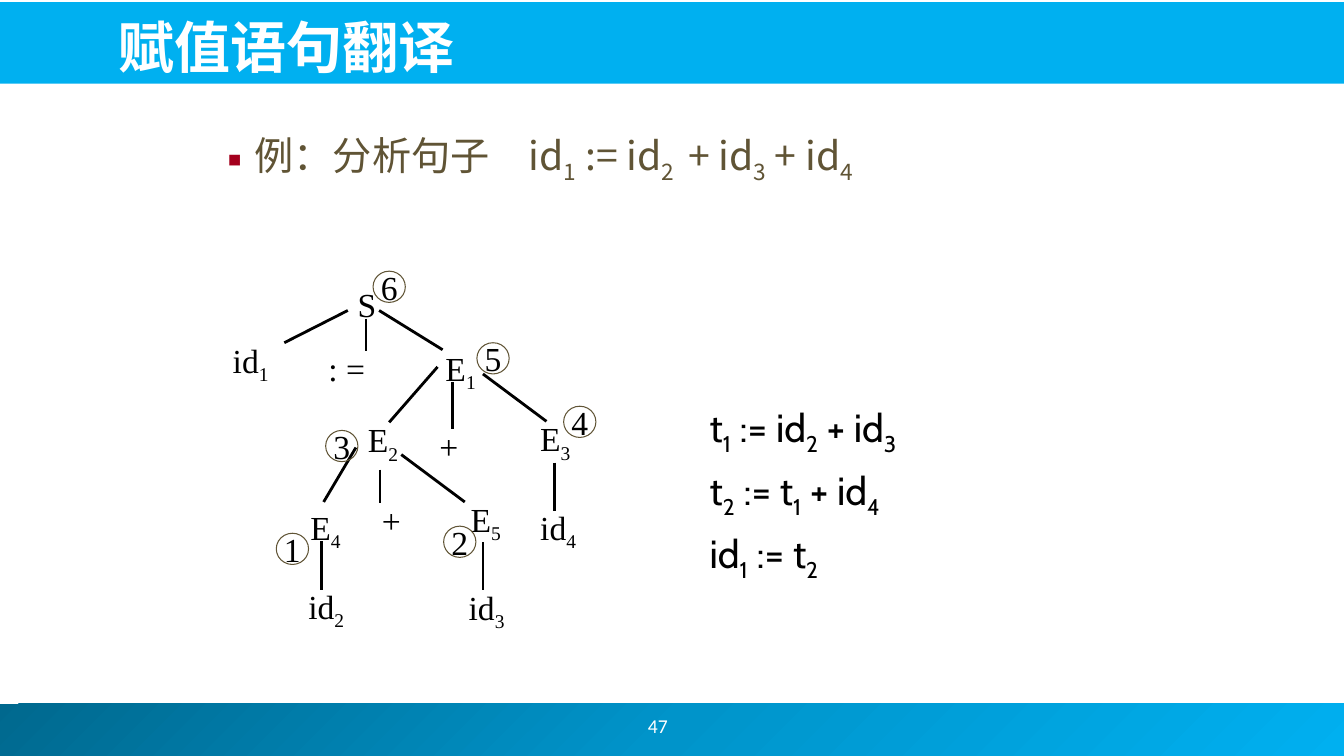
from copy import deepcopy

from lxml import etree
from pptx import Presentation
from pptx import util as u
from pptx.dml.color import RGBColor
from pptx.enum import shapes, text
from pptx.oxml import ns

WIDE, HIGH = 13.33, 7.5
SKY = RGBColor(0x00, 0xB0, 0xF0)
MID = RGBColor(0x00, 0x94, 0xCA)
DEEP = RGBColor(0x00, 0x68, 0x8E)
WHITE = RGBColor(0xFF, 0xFF, 0xFF)
BLACK = RGBColor(0, 0, 0)
BROWN = RGBColor(0x60, 0x54, 0x35)
STEP = 0.1

HEAD = dict(size=u.Pt(40), name="Noto Sans CJK JP", bold=True)
LEAD = dict(size=u.Pt(28), name="Noto Sans CJK JP")
NODE = dict(size=u.Pt(24), name="Times New Roman")
CODE = dict(size=u.Pt(28), name="Cabin")
PAGE = dict(size=u.Pt(14), name="Calibri")

NODES = [
    ("S", 12.5, 1.7, 3.3), ("E_1_", 21.2, 8, 5.5), ("id_1_", 0.1, 7.2, 7.1),
    (": =", 9.6, 8, 8.6), ("E_3_", 30.6, 15, 7.3), ("E_2_", 13.5, 15.1, 5.5),
    ("+", 20.6, 15.8, 4.1), ("E_5_", 23.7, 23, 7.3), ("+", 14.9, 23.1, 4.7),
    ("E_4_", 7.8, 23.8, 7.3), ("id_4_", 30.6, 23.8, 9.7),
    ("id_2_", 7.6, 31.6, 9.7), ("id_3_", 23.5, 31.7, 9.7),
]
EDGES = [
    (12.5, 4.8, 6.2, 8), (15.6, 4.8, 21.9, 8.7), (14.3, 5.6, 14.3, 8.8),
    (22.9, 11.9, 22.9, 16.6), (25.9, 11.1, 32.2, 15.8),
    (21.4, 10.4, 16.6, 15.9), (15.7, 20.6, 15.7, 23.9),
    (17.8, 19.1, 24.1, 23.8), (13.3, 18.4, 10.1, 23.8),
    (33, 19.9, 33, 24.7), (9.9, 27.7, 9.9, 32.5), (25.9, 27.8, 25.9, 32.5),
]
MARKS = [(5.4, 26.9), (22, 26.2), (10.3, 16.7), (33.9, 14.3), (25.3, 8), (15, 0.9)]


def inch(*vals):
    """Turn numbers into lengths."""
    return [u.Inches(v) for v in vals]


def style(item, **vals):
    """Set attributes from a dict."""
    for key, val in vals.items():
        setattr(item, key, val)


def write(para, words, font, tint):
    """Fill a paragraph; parts between underscores become subscripts."""
    for i, part in enumerate(words.split("_")):
        if not part:
            continue
        run = para.add_run()
        run.text = part
        style(run.font, **font)
        run.font.color.rgb = tint
        props = run._r.get_or_add_rPr()
        etree.SubElement(props, ns.qn("a:ea"), typeface=font["name"])
        if i % 2:
            props.set("baseline", "-25000")


def label(slide, box, words, font, tint, **frame):
    """Add a text box and return its first paragraph."""
    body = slide.shapes.add_textbox(*inch(*box)).text_frame
    style(body, **{"word_wrap": True, **frame})
    write(body.paragraphs[0], words, font, tint)
    return body.paragraphs[0]


def indent(para, left, hang):
    """Give a paragraph a hanging indent."""
    props = para._p.get_or_add_pPr()
    props.set("marL", str(u.Inches(left)))
    props.set("indent", str(u.Inches(-hang)))
    return props


def band(slide, box):
    """Add a plain bar without outline."""
    bar = slide.shapes.add_shape(shapes.MSO_SHAPE.RECTANGLE, *inch(*box))
    bar.shadow.inherit = False
    bar.line.fill.background()
    return bar


def header(slide, box):
    """Draw the top bar and set the title on it."""
    left, top, wide, high = box
    bar = band(slide, box)
    bar.fill.solid()
    bar.fill.fore_color.rgb = SKY
    title = slide.shapes.title
    spot = inch(left + 1.1, top + 0.03, wide - 1.55, high - 0.02)
    style(title, **dict(zip(("left", "top", "width", "height"), spot)))
    style(title.text_frame, vertical_anchor=text.MSO_ANCHOR.BOTTOM,
          auto_size=text.MSO_AUTO_SIZE.NONE, word_wrap=True)
    para = title.text_frame.paragraphs[0]
    para.alignment = text.PP_ALIGN.LEFT
    write(para, "赋值语句翻译", HEAD, WHITE)
    slide.shapes._spTree.append(title._element)


def footer(slide, box):
    """Draw the shaded bottom bar with the page number."""
    left, top, wide, high = box
    fill = band(slide, box).fill
    fill.gradient()
    fill.gradient_angle = 315
    stops = fill.gradient_stops
    first = stops[0]._gs
    first.addnext(deepcopy(first))
    for stop, tint, at in zip(fill.gradient_stops, (DEEP, MID, SKY), (0, 0.5, 1)):
        stop.color.rgb = tint
        stop.position = at
    para = label(slide, (left + 5.13, top - 0.03, 2.89, 0.5), "47", PAGE, WHITE,
                 vertical_anchor=text.MSO_ANCHOR.MIDDLE)
    para.alignment = text.PP_ALIGN.CENTER


def lead(slide, box):
    """Write the bulleted example sentence."""
    para = label(slide, box, "例：分析句子　id_1_ := id_2 _ + id_3_ + id_4_",
                 LEAD, BROWN)
    para.line_spacing = 1.2
    props = indent(para, 0.81, 0.31)
    tint = etree.SubElement(props, ns.qn("a:buClr"))
    etree.SubElement(tint, ns.qn("a:srgbClr"), val="A4001D")
    etree.SubElement(props, ns.qn("a:buFont"), typeface="Noto Sans CJK JP")
    etree.SubElement(props, ns.qn("a:buChar"), char="▪")


def tree(slide, left, top):
    """Draw the parse tree on a grid of small steps."""
    def spot(col, row):
        return left + col * STEP, top + row * STEP

    for words, col, row, wide in NODES:
        label(slide, (*spot(col, row), wide * STEP, 0.5), words, NODE, BLACK)
    for c1, r1, c2, r2 in EDGES:
        edge = slide.shapes.add_connector(
            shapes.MSO_CONNECTOR.STRAIGHT, *inch(*spot(c1, r1), *spot(c2, r2)))
        edge.line.width = u.Pt(2)
        edge.line.color.rgb = BLACK
        etree.SubElement(edge._element.spPr, ns.qn("a:effectLst"))
    for num, place in enumerate(MARKS, 1):
        ring = slide.shapes.add_shape(
            shapes.MSO_SHAPE.OVAL, *inch(*spot(*place), 0.32, 0.31))
        ring.shadow.inherit = False
        ring.fill.background()
        ring.line.color.rgb = BROWN
        ring.line.width = u.Pt(0.75)
        body = ring.text_frame
        style(body, word_wrap=False, vertical_anchor=text.MSO_ANCHOR.MIDDLE)
        body.paragraphs[0].alignment = text.PP_ALIGN.CENTER
        write(body.paragraphs[0], str(num), NODE, BLACK)


def code(slide, box):
    """List the three-address code."""
    body = slide.shapes.add_textbox(*inch(*box)).text_frame
    body.word_wrap = True
    lines = ("t_1_ := id_2_ + id_3_", "t_2_ := t_1_ + id_4_", "id_1_ := t_2_")
    for i, line in enumerate(lines):
        para = body.add_paragraph() if i else body.paragraphs[0]
        para.space_before = u.Pt(7)
        indent(para, 0.38, 0.38)
        write(para, line, CODE, BLACK)


def main():
    """Build and save the slide."""
    deck = Presentation()
    deck.slide_width, deck.slide_height = inch(WIDE, HIGH)
    slide = deck.slides.add_slide(deck.slide_layouts[5])
    footer(slide, (-0.05, 6.98, WIDE + 0.06, 0.52))
    header(slide, (-0.02, 0.02, WIDE + 0.03, 0.81))
    lead(slide, (1.54, 1.15, 8.9, 0.71))
    tree(slide, 2.2, 2.6)
    code(slide, (6.94, 3.95, 3.05, 2.23))
    deck.save("out.pptx")


if __name__ == "__main__":
    main()
